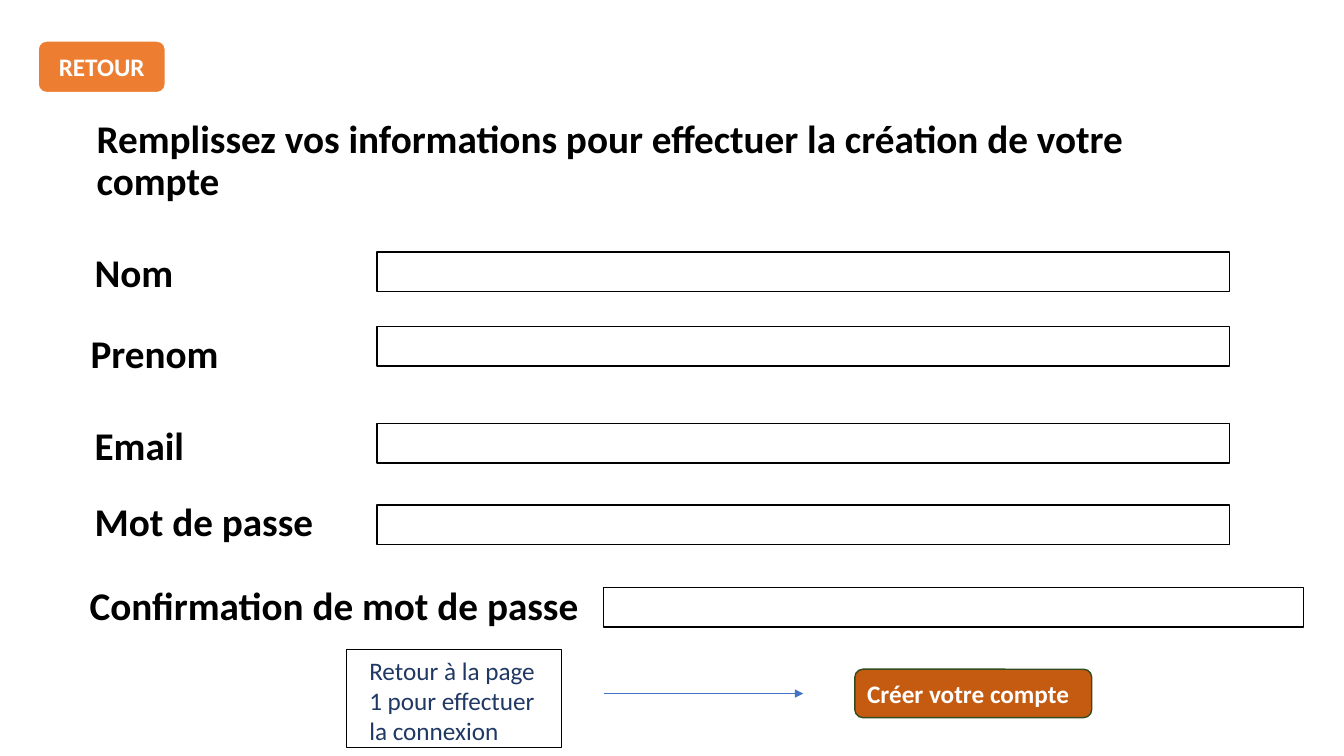
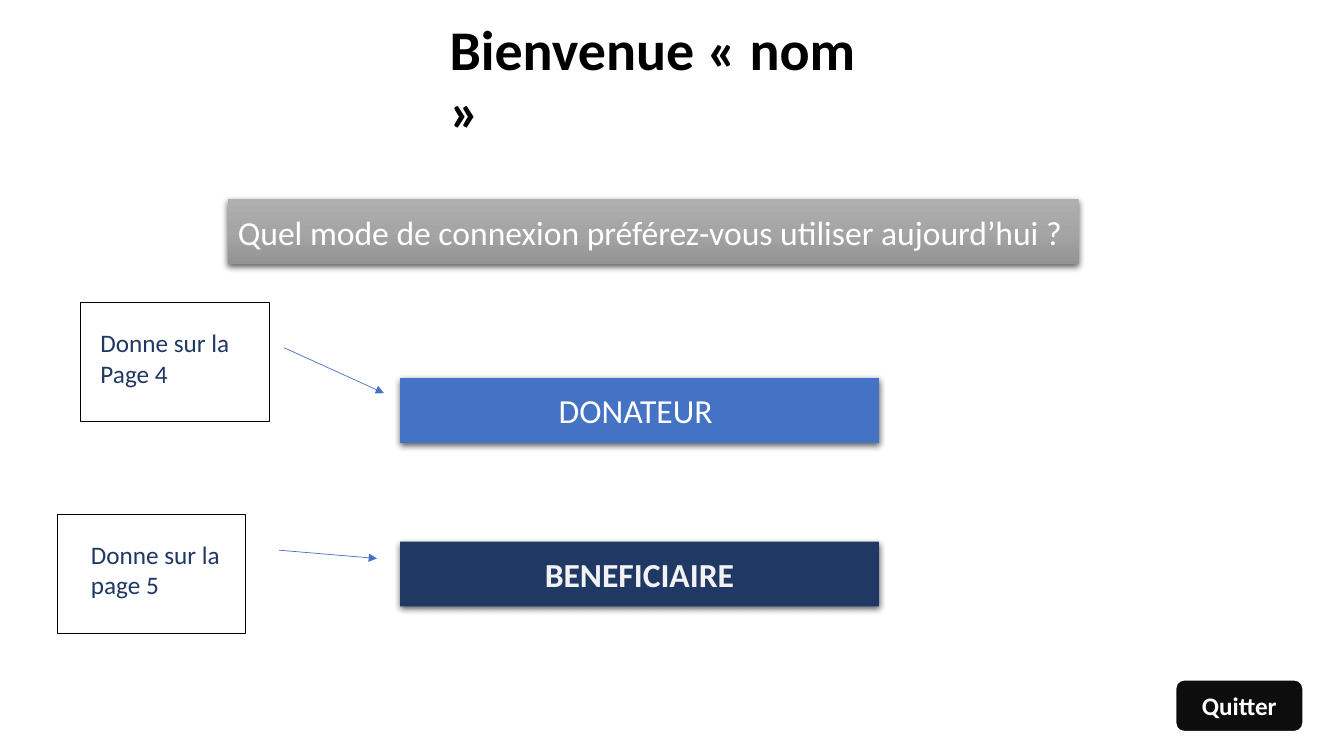
from copy import deepcopy
from dataclasses import dataclass

from lxml import etree
from pptx import Presentation
from pptx.dml.color import RGBColor
from pptx.enum import shapes, text
from pptx.oxml.ns import qn
from pptx.util import Pt


@dataclass(frozen=True)
class Theme:
    """Colours, type sizes and line widths shared by both slides."""
    font: str = "Calibri"
    black: str = "000000"
    white: str = "FFFFFF"
    navy: str = "203864"
    blue: str = "4472C4"
    orange: str = "ED7D31"
    rust: str = "C55A11"
    rust_edge: str = "314C1F"
    near_black: str = "0D0D0D"
    pale: str = "F2F2F2"
    greys: tuple = ("AFAFAF", "A5A5A5", "939393")
    welcome: int = 40
    heading: int = 28
    banner: int = 24
    body: int = 18
    arrow_width: float = 0.5
    frame_width: float = 0.75
    field_width: float = 1
    button_width: float = 1.5


@dataclass(frozen=True)
class Box:
    """A region of the slide, in points."""
    left: float
    top: float
    width: float
    height: float

    def emu(self):
        """Return the four lengths ready for python-pptx."""
        return [Pt(n) for n in (self.left, self.top, self.width, self.height)]


THEME = Theme()
CENTER = text.PP_ALIGN.CENTER
LEFT = text.PP_ALIGN.LEFT
MIDDLE = text.MSO_ANCHOR.MIDDLE
TOP = text.MSO_ANCHOR.TOP
RECT = shapes.MSO_SHAPE.RECTANGLE
ROUNDED = shapes.MSO_SHAPE.ROUNDED_RECTANGLE


def rgb(value):
    """Turn a hex string into a colour."""
    return RGBColor.from_string(value)


def write(shape, words, size, color, bold=False, align=LEFT, anchor=TOP):
    """Put one paragraph of styled text in a shape."""
    frame = shape.text_frame
    frame.word_wrap = True
    frame.vertical_anchor = anchor
    paragraph = frame.paragraphs[0]
    paragraph.text = words
    paragraph.alignment = align
    font = paragraph.font
    font.name, font.size, font.bold = THEME.font, Pt(size), bold
    font.color.rgb = rgb(color)
    return paragraph


def panel(slide, box, kind=RECT, fill=None, edge=None, edge_width=1):
    """Draw a preset shape with the given fill and edge."""
    shape = slide.shapes.add_shape(kind, *box.emu())
    shape.shadow.inherit = False
    if fill:
        shape.fill.solid()
        shape.fill.fore_color.rgb = rgb(fill)
    else:
        shape.fill.background()
    if edge:
        shape.line.color.rgb = rgb(edge)
        shape.line.width = Pt(edge_width)
    else:
        shape.line.fill.background()
    return shape


def title(slide, box, words, size):
    """Write a bold slide title centred vertically on its box."""
    heading = slide.shapes.add_textbox(*box.emu())
    write(heading, words, size, THEME.black, True, anchor=MIDDLE).line_spacing = 0.9


def button(slide, box, words, fill, edge=THEME.white, edge_width=THEME.button_width, align=CENTER):
    """Draw a rounded button with a bold caption."""
    key = panel(slide, box, ROUNDED, fill, edge, edge_width)
    write(key, words, THEME.body, THEME.white, True, align, MIDDLE)


def form_row(slide, box, caption, field_offset, field_drop):
    """Draw a caption at the left of the box and its input field up to the right."""
    label = slide.shapes.add_textbox(*Box(box.left, box.top, field_offset, box.height).emu())
    write(label, caption, THEME.heading, THEME.black, True)
    field = Box(box.left + field_offset, box.top + field_drop, box.width - field_offset, 28.2)
    panel(slide, field, RECT, THEME.white, THEME.black, THEME.field_width)


def note(slide, box, words, indent, drop):
    """Draw a framed navigation note with its text inset."""
    frame = panel(slide, box, edge=THEME.black, edge_width=THEME.frame_width)
    write(frame, words, THEME.body, THEME.navy)
    frame.text_frame.margin_left = Pt(indent)
    frame.text_frame.margin_top = Pt(drop)


def arrow(slide, start, end):
    """Draw a thin arrow between two points."""
    link = slide.shapes.add_connector(
        shapes.MSO_CONNECTOR.STRAIGHT, *(Pt(n) for n in (*start, *end)))
    link.line.color.rgb = rgb(THEME.blue)
    link.line.width = Pt(THEME.arrow_width)
    etree.SubElement(link.line._get_or_add_ln(), qn("a:tailEnd"), type="triangle")
    etree.SubElement(link._element.spPr, qn("a:effectLst"))


def raised_banner(slide, box, words, fill, color=THEME.white, bold=False, align=CENTER):
    """Draw a banner with a soft shadow below it."""
    banner = panel(slide, box, fill=fill)
    effects = banner._element.spPr.find(qn("a:effectLst"))
    shadow = etree.SubElement(effects, qn("a:outerShdw"), blurRad=str(Pt(4.5)),
                              dist=str(Pt(1.5)), dir="5400000", algn="ctr", rotWithShape="0")
    tint = etree.SubElement(shadow, qn("a:srgbClr"), val=THEME.black)
    etree.SubElement(tint, qn("a:alpha"), val="63000")
    write(banner, words, THEME.banner, color, bold, align, MIDDLE)
    return banner


def shade(shape, colors):
    """Fill a shape with an evenly spaced gradient from top to bottom."""
    shape.fill.gradient()
    shape.fill.gradient_angle = 270
    stops = shape._element.spPr.find(".//" + qn("a:gsLst"))
    while len(stops) < len(colors):
        stops.insert(1, deepcopy(stops[0]))
    for index, (stop, color) in enumerate(zip(shape.fill.gradient_stops, colors)):
        stop.position = index / (len(colors) - 1)
        stop.color.rgb = rgb(color)


def account_slide(slide):
    """Build the account creation form."""
    title(slide, Box(62, 95, 828, 41),
          "Remplissez vos informations pour effectuer la création de votre compte", THEME.heading)
    near, far = (269.3, 878.4), (431.3, 931)
    rows = [
        ("Nom", 60.5, 174.2, 180, near),
        ("Prenom", 57.6, 231.8, 233.2, near),
        ("Email", 60.5, 297.4, 302.4, near),
        ("Mot de passe", 60.5, 352, 360.8, near),
        ("Confirmation de mot de passe", 57, 411.8, 419.6, far),
    ]
    for caption, left, top, field_top, (field_left, right) in rows:
        form_row(slide, Box(left, top, right - left, 41), caption, field_left - left, field_top - top)
    button(slide, Box(610.6, 478, 169.2, 34.6), "Créer votre compte",
           THEME.rust, THEME.rust_edge, THEME.field_width, LEFT)
    note(slide, Box(247.8, 464.2, 153.4, 69.8),
         "Retour à la page 1 pour effectuer la connexion", 16, 3.6)
    arrow(slide, (431.3, 495.4), (573.8, 495.4))
    button(slide, Box(27, 29, 91.4, 37.4), "RETOUR", THEME.orange)


def welcome_slide(slide):
    """Build the choice of connection mode."""
    title(slide, Box(314, 31.7, 331, 54.7), "Bienvenue « nom »", THEME.welcome)
    question = raised_banner(slide, Box(162.8, 142.4, 607.7, 46.4),
                             "Quel mode de connexion préférez-vous utiliser aujourd’hui ?",
                             THEME.greys[1], align=LEFT)
    shade(question, THEME.greys)
    raised_banner(slide, Box(285.8, 270, 342, 46.4), "DONATEUR ", THEME.blue)
    raised_banner(slide, Box(285.8, 386.8, 342, 46.4), "BENEFICIAIRE", THEME.navy, THEME.pale, True)
    note(slide, Box(57.8, 216, 134.6, 85), "Donne sur la Page 4", 14, 18)
    note(slide, Box(41, 367.2, 134.6, 85), "Donne sur la page 5", 24, 18)
    arrow(slide, (203, 248.4), (274.3, 280.8))
    arrow(slide, (199.4, 393), (269.3, 398.9))
    button(slide, Box(839.6, 485.4, 91.4, 37.4), "Quitter", THEME.near_black)


def main():
    """Build and save the presentation."""
    deck = Presentation()
    deck.slide_width, deck.slide_height = Pt(960), Pt(540)
    for build in (account_slide, welcome_slide):
        build(deck.slides.add_slide(deck.slide_layouts[6]))
    deck.save("out.pptx")


if __name__ == "__main__":
    main()
